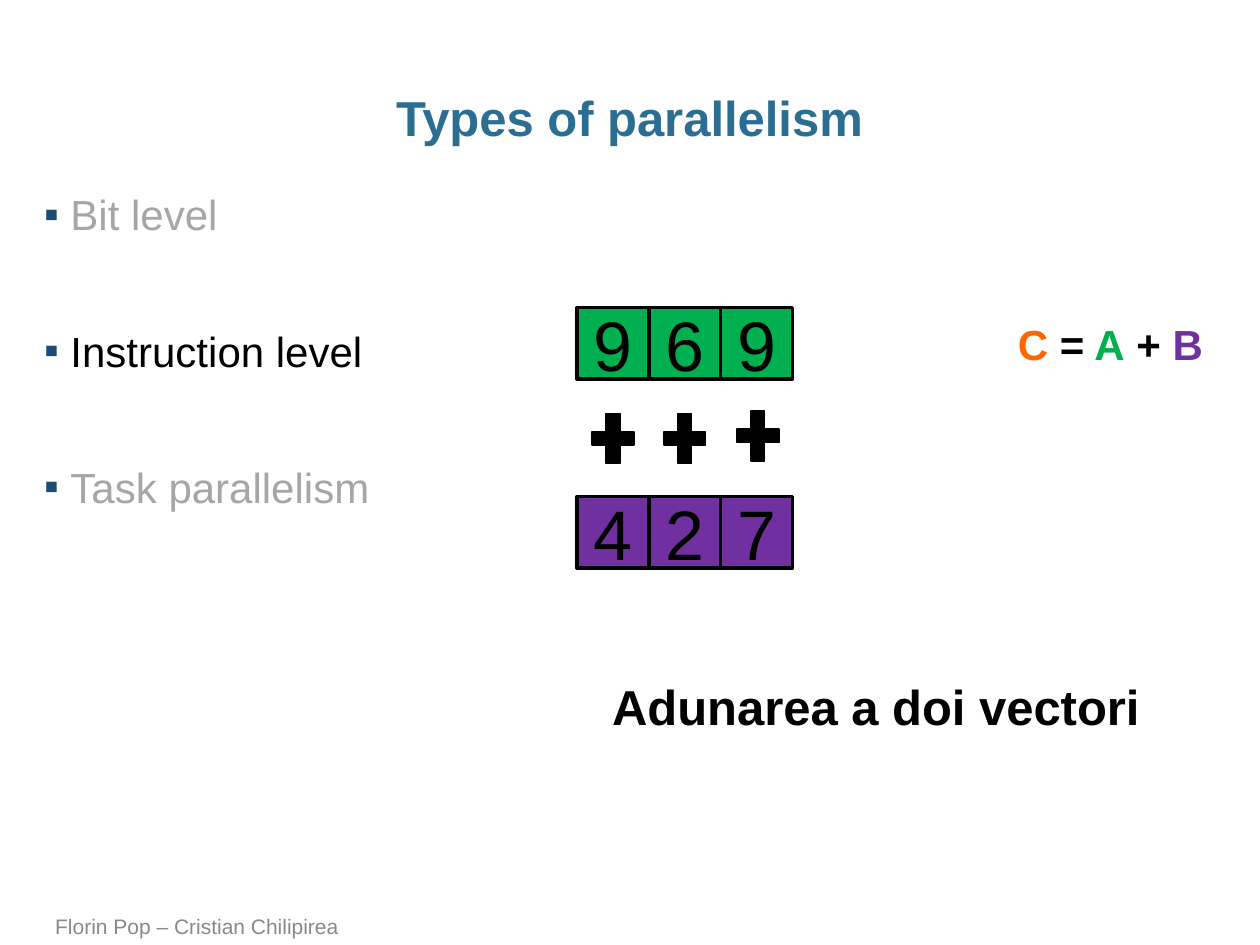
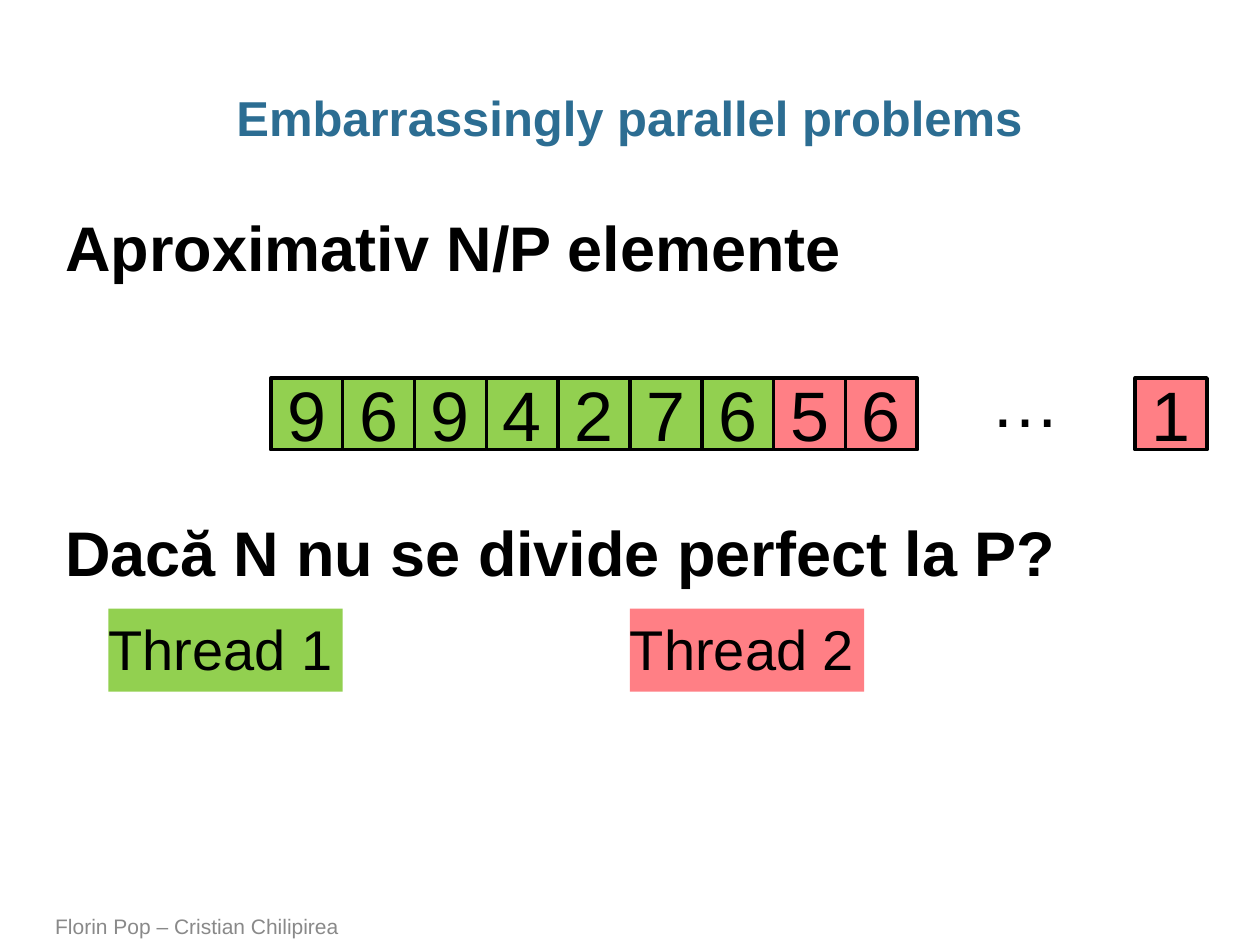
from pptx import Presentation
from pptx.dml.color import RGBColor
from pptx.enum.shapes import MSO_SHAPE
from pptx.enum.text import MSO_ANCHOR, PP_ALIGN
from pptx.oxml import parse_xml
from pptx.oxml.ns import nsdecls
from pptx.util import Inches, Pt

FONT = "Arial"
BLACK = RGBColor(0x00, 0x00, 0x00)
TITLE_BLUE = RGBColor(0x2C, 0x6D, 0x92)
BULLET_BLUE = RGBColor(0x1C, 0x4C, 0x74)
MUTED = RGBColor(0xA6, 0xA6, 0xA6)
FOOTER_GREY = RGBColor(0x89, 0x89, 0x89)
VECTOR_A = RGBColor(0x00, 0xB0, 0x50)
VECTOR_B = RGBColor(0x70, 0x30, 0xA0)
VECTOR_C = RGBColor(0xFF, 0x66, 0x00)
THREAD_1 = RGBColor(0x92, 0xD0, 0x50)
THREAD_2 = RGBColor(0xFF, 0x7F, 0x85)
CELL = 0.57


def style(font, size, color=BLACK, bold=False):
    """Apply the deck's typeface with a size, colour and weight."""
    font.name = FONT
    font.size = Pt(size)
    font.color.rgb = color
    font.bold = bold


def add_text(slide, box, lines, size, color=BLACK, bold=False, gap=0, wrap=True, inset=0.1):
    """Add a text box whose lines are separated by a gap in points."""
    frame = slide.shapes.add_textbox(*map(Inches, box)).text_frame
    frame.word_wrap = wrap
    frame.margin_left = frame.margin_right = Inches(inset)
    frame.text = "\n".join(lines)
    for index, paragraph in enumerate(frame.paragraphs):
        if index:
            paragraph.space_before = Pt(gap)
        style(paragraph.font, size, color, bold)
    return frame


def add_bullets(slide, box, items, size, gap):
    """Add square-bulleted items given as (text, colour) pairs."""
    frame = add_text(slide, box, [text for text, _ in items], size, gap=gap, inset=0)
    for paragraph, (_, color) in zip(frame.paragraphs, items):
        properties = paragraph._p.get_or_add_pPr()
        properties.set("marL", str(Inches(0.21)))
        properties.set("indent", str(-Inches(0.21)))
        bullet = (
            f'<a:buClr {nsdecls("a")}><a:srgbClr val="{BULLET_BLUE}"/></a:buClr>',
            f'<a:buFont {nsdecls("a")} typeface="{FONT}"/>',
            f'<a:buChar {nsdecls("a")} char="▪"/>',
        )
        for offset, xml in enumerate(bullet):
            properties.insert_element_before(parse_xml(xml), "a:tabLst", "a:defRPr", "a:extLst")
        style(paragraph.font, size, color)


def add_block(slide, preset, box, fill, line_width=0):
    """Add a flat filled shape, outlined in black if a line width is given."""
    block = slide.shapes.add_shape(preset, *map(Inches, box))
    block.shadow.inherit = False
    block.fill.solid()
    block.fill.fore_color.rgb = fill
    if line_width:
        block.line.color.rgb = BLACK
        block.line.width = Pt(line_width)
    else:
        block.line.fill.background()
    return block


def add_vector(slide, left, top, digits, fill):
    """Add a row of adjoining square cells, one per digit."""
    for index, digit in enumerate(digits):
        box = (left + index * CELL, top, CELL, CELL)
        frame = add_block(slide, MSO_SHAPE.RECTANGLE, box, fill, 2).text_frame
        frame.vertical_anchor = MSO_ANCHOR.MIDDLE
        frame.text = digit
        frame.paragraphs[0].alignment = PP_ALIGN.CENTER
        style(frame.paragraphs[0].font, 40)


def add_thread_label(slide, left, label, fill):
    """Add a coloured legend label for a thread."""
    frame = add_block(slide, MSO_SHAPE.RECTANGLE, (left, 4.83, 1.86, 0.66), fill).text_frame
    frame.margin_left = frame.margin_right = 0
    frame.vertical_anchor = MSO_ANCHOR.TOP
    frame.text = label
    frame.paragraphs[0].alignment = PP_ALIGN.LEFT
    style(frame.paragraphs[0].font, 32)


def add_formula(slide, box, terms):
    """Add a one-line formula from (text, colour) terms."""
    frame = add_text(slide, box, [""], 24, bold=True, wrap=False)
    for text, color in terms:
        run = frame.paragraphs[0].add_run()
        run.text = text
        style(run.font, 24, color, True)


def add_titled_slide(deck, title):
    """Add a blank slide with the shared title and footer."""
    slide = deck.slides.add_slide(deck.slide_layouts[6])
    heading = add_text(slide, (0.34, 0.68, 9.31, 0.5), [title], 28, TITLE_BLUE, True, inset=0)
    heading.paragraphs[0].alignment = PP_ALIGN.CENTER
    heading.paragraphs[0].line_spacing = 0.95
    footer = add_text(slide, (0.34, 7.22, 7.37, 0.28), ["Florin Pop – Cristian Chilipirea"],
                      12, FOOTER_GREY)
    footer.vertical_anchor = MSO_ANCHOR.BOTTOM
    return slide


def build_parallelism_types(deck):
    """Build the slide on instruction-level parallelism."""
    slide = add_titled_slide(deck, "Types of parallelism")
    levels = [("Bit level", MUTED), ("Instruction level", BLACK), ("Task parallelism", MUTED)]
    add_bullets(slide, (0.35, 1.45, 4, 5.57), levels, 24, 49)
    add_vector(slide, 4.58, 2.44, "969", VECTOR_A)
    add_vector(slide, 4.58, 3.94, "427", VECTOR_B)
    for left, top in ((4.64, 3.21), (5.21, 3.21), (5.79, 3.19)):
        add_block(slide, MSO_SHAPE.MATH_PLUS, (left, top, 0.45, 0.54), BLACK, 1)
    add_formula(slide, (7.98, 2.48, 1.69, 0.5),
                [("C ", VECTOR_C), ("=", BLACK), (" A", VECTOR_A), (" + ", BLACK), ("B", VECTOR_B)])
    add_text(slide, (4.76, 5.32, 4.44, 0.57), ["Adunarea a doi vectori"], 28, bold=True, wrap=False)


def build_parallel_problems(deck):
    """Build the slide on splitting elements between threads."""
    slide = add_titled_slide(deck, "Embarrassingly parallel problems")
    first_share = "9694276"
    add_vector(slide, 2.15, 3, first_share, THREAD_1)
    add_vector(slide, 2.15 + len(first_share) * CELL, 3, "56", THREAD_2)
    add_vector(slide, 9.01, 3, "1", THREAD_2)
    add_text(slide, (0.42, 1.61, 9.43, 3.13),
             ["Aproximativ N/P elemente", "Dacă N nu se divide perfect la P?"], 36, bold=True, gap=131)
    add_text(slide, (7.76, 2.79, 0.76, 0.77), ["…"], 40, wrap=False)
    add_thread_label(slide, 0.86, "Thread 1", THREAD_1)
    add_thread_label(slide, 5, "Thread 2", THREAD_2)


def main():
    """Build and save the deck."""
    deck = Presentation()
    deck.slide_width, deck.slide_height = Inches(10), Inches(7.5)
    build_parallelism_types(deck)
    build_parallel_problems(deck)
    deck.save("out.pptx")


if __name__ == "__main__":
    main()
